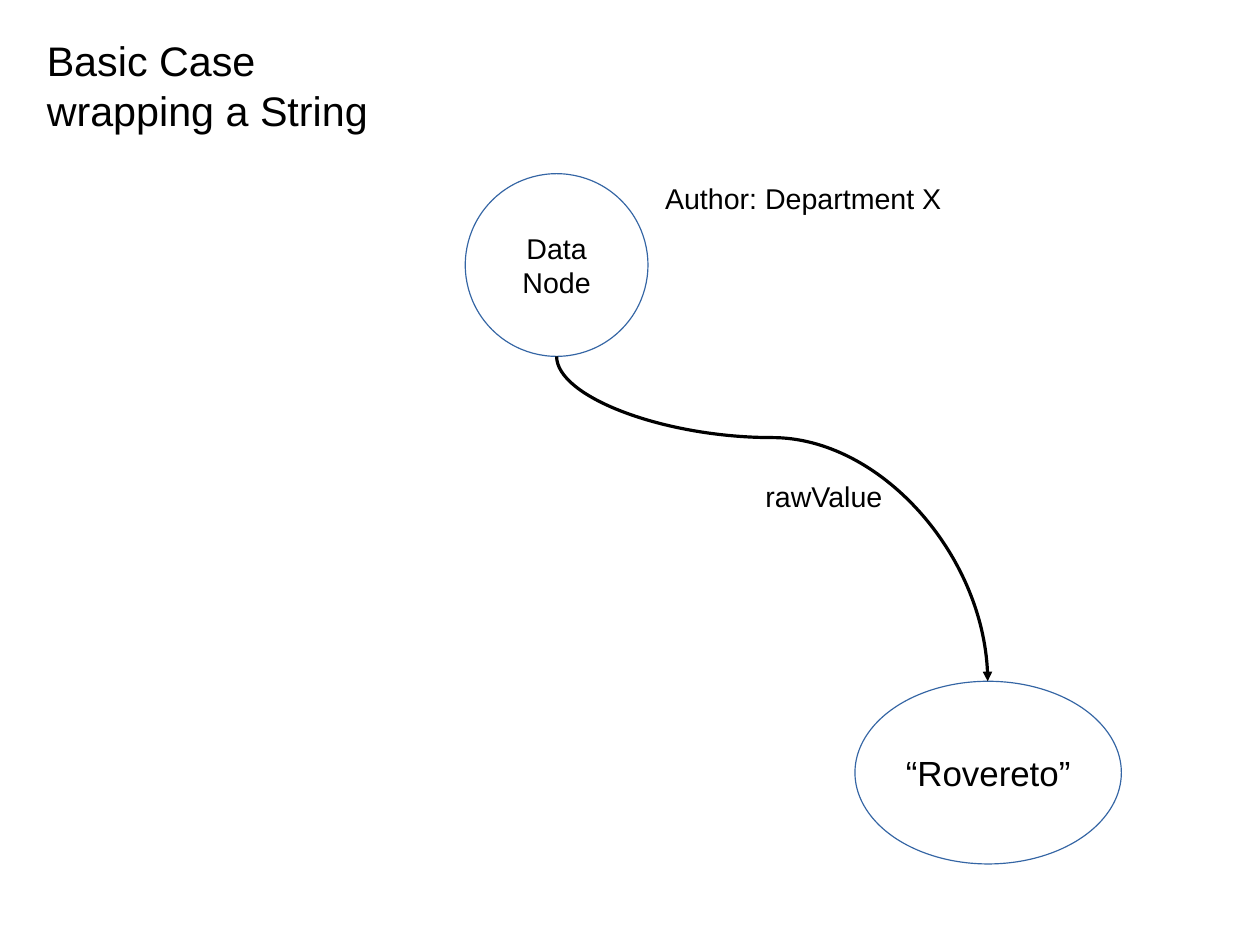
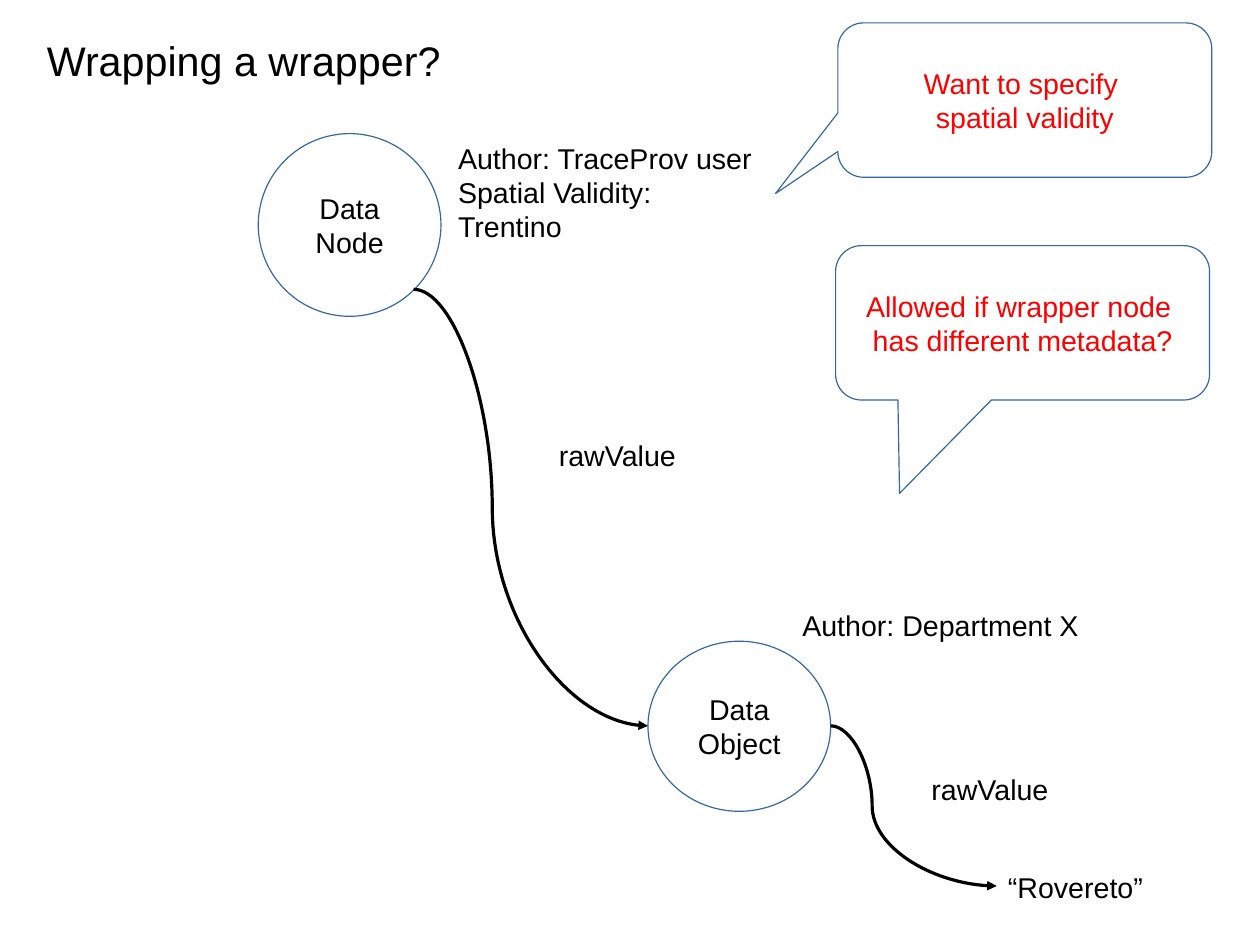
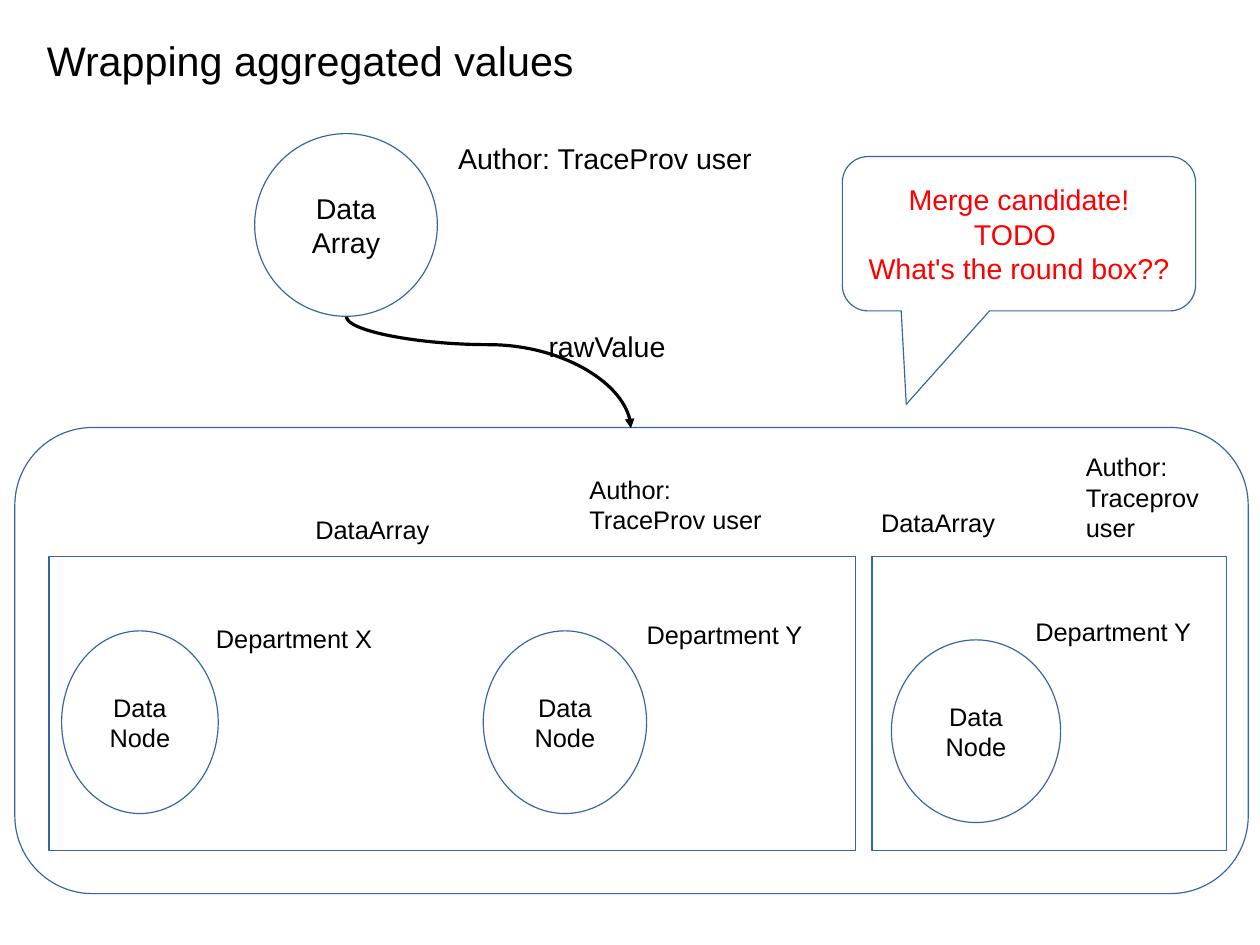
from pptx import Presentation
from pptx.dml.color import RGBColor
from pptx.enum.shapes import MSO_CONNECTOR, MSO_SHAPE
from pptx.enum.text import MSO_ANCHOR, MSO_AUTO_SIZE, PP_ALIGN
from pptx.oxml.ns import qn
from pptx.util import Cm, Pt
from lxml.etree import SubElement

FONT = "Arial"
BLACK = "000000"
WHITE = "FFFFFF"
OUTLINE = "3465A4"
QUESTION = "FF0000"
TITLE_SIZE, BODY_SIZE, SMALL_SIZE = 26, 18, 16
NODE = 4.06
CALLOUT_HEIGHT = 3.43
RAW_VALUE_WIDTH = 3.1


def color(code):
    return RGBColor.from_string(code)


def write(frame, lines, size, ink=BLACK, align=PP_ALIGN.LEFT):
    for index, line in enumerate(lines):
        paragraph = frame.paragraphs[0] if index == 0 else frame.add_paragraph()
        paragraph.alignment = align
        run = paragraph.add_run()
        run.text = line
        run.font.name = FONT
        run.font.size = Pt(size)
        run.font.color.rgb = color(ink)


def outlined(slide, kind, box, lines=(), size=BODY_SIZE, ink=BLACK, wrap=True):
    shape = slide.shapes.add_shape(kind, *map(Cm, box))
    shape.shadow.inherit = False
    shape.fill.solid()
    shape.fill.fore_color.rgb = color(WHITE)
    shape.line.color.rgb = color(OUTLINE)
    shape.line.width = Pt(0)
    shape.text_frame.word_wrap = wrap
    shape.text_frame.vertical_anchor = MSO_ANCHOR.MIDDLE
    write(shape.text_frame, lines, size, ink, PP_ALIGN.CENTER)
    return shape


def label(slide, left, top, width, lines, size=BODY_SIZE, wrap=False, rows=None):
    height = (rows or len(lines)) * Pt(size * 1.15) + Cm(0.25)
    note = slide.shapes.add_textbox(Cm(left), Cm(top), Cm(width), height)
    note.text_frame.word_wrap = wrap
    note.text_frame.auto_size = MSO_AUTO_SIZE.SHAPE_TO_FIT_TEXT
    write(note.text_frame, lines, size)


def titled_slide(deck, width, lines):
    slide = deck.slides.add_slide(deck.slide_layouts[6])
    label(slide, 0.79, 0.66, width, lines, TITLE_SIZE)
    return slide


def node(slide, box, lines, size=BODY_SIZE):
    outlined(slide, MSO_SHAPE.OVAL, box, lines, size)


def authored_node(slide, box, lines, author, width, offset=(4.19, 0.03)):
    node(slide, box, lines)
    label(slide, box[0] + offset[0], box[1] + offset[1], width, author)


def callout(slide, box, lines, tip):
    bubble = outlined(slide, MSO_SHAPE.ROUNDED_RECTANGULAR_CALLOUT, box, lines,
                      ink=QUESTION, wrap=False)
    for index, value in enumerate((*tip, 0.167)):
        bubble.adjustments[index] = value


def raw_value_link(slide, start, end, label_offset, bend=0.25, downward=False):
    link = slide.shapes.add_connector(MSO_CONNECTOR.CURVE, *map(Cm, start + end))
    link.line.color.rgb = color(BLACK)
    link.line.width = Pt(0)
    properties = link._element.spPr
    SubElement(properties.find(qn("a:ln")), qn("a:tailEnd"), type="triangle")
    SubElement(properties, qn("a:effectLst"))
    guides = properties.find(qn("a:prstGeom")).get_or_add_avLst()
    SubElement(guides, qn("a:gd"), name="adj1", fmla=f"val {round(bend * 100000)}")
    if downward:
        width, height = link.width, link.height
        link.left += (width - height) // 2
        link.top += (height - width) // 2
        link.width, link.height = height, width
        frame = properties.find(qn("a:xfrm"))
        frame.set("rot", "16200000")
        frame.set("flipH", "1")
    label(slide, start[0] + label_offset[0], start[1] + label_offset[1],
          RAW_VALUE_WIDTH, ["rawValue"])


def array_panel(slide, box, heading, author, members):
    left, top = box[:2]
    outlined(slide, MSO_SHAPE.RECTANGLE, box)
    for (x, y, width), lines, rows in (heading, author):
        label(slide, left + x, top + y, width, lines, SMALL_SIZE, True, rows)
    for (x, y, width), department, (label_x, label_y) in members:
        node(slide, (left + x, top + y, width, NODE), ["Data", "Node"], SMALL_SIZE)
        label(slide, left + label_x, top + label_y, 4.4, [department], SMALL_SIZE, True)


def aggregate(slide, box):
    left, top, width, height = box
    outlined(slide, MSO_SHAPE.ROUNDED_RECTANGLE, box).adjustments[0] = 0.167
    panel_top, panel_height = top + 2.87, 6.53
    array_panel(
        slide, (left + 0.76, panel_top, 17.93, panel_height),
        ((5.67, -1.07, 4.9), ["DataArray"], 1),
        ((11.76, -1.96, 5.46), ["Author:", "TraceProv user"], 2),
        [((0.28, 1.65, 3.48), "Department X", (3.46, 1.35)),
         ((9.65, 1.65, 3.63), "Department Y", (13.03, 1.27))])
    array_panel(
        slide, (left + 19.05, panel_top, 7.87, panel_height),
        ((-0.05, -1.22, 3.35), ["DataArray"], 1),
        ((4.5, -2.46, 3.51), ["Author: Traceprov user"], 3),
        [((0.43, 1.85, 3.76), "Department Y", (3.38, 1.19))])


def basic_case(deck):
    slide = titled_slide(deck, 7.65, ["Basic Case", "wrapping a String"])
    authored_node(slide, (10.34, 3.86, NODE, NODE), ["Data", "Node"],
                  ["Author: Department X"], 6.65)
    node(slide, (19, 15.14, 5.92, NODE), ["“Rovereto”"], 22)
    raw_value_link(slide, (12.37, 7.92), (21.95, 15.14), (4.39, 2.6), downward=True)


def wrapped_wrapper(deck):
    slide = titled_slide(deck, 9.27, ["Wrapping a wrapper?"])
    authored_node(slide, (5.74, 2.97, NODE, NODE), ["Data", "Node"],
                  ["Author: TraceProv user", "Spatial Validity: Trentino"], 7.26)
    authored_node(slide, (14.4, 14.25, NODE, 3.78), ["Data", "Object"],
                  ["Author: Department X"], 6.65, (3.18, -0.86))
    raw_value_link(slide, (9.19, 6.43), (14.4, 16.13), (2.98, 3.17), 0.336)
    raw_value_link(slide, (18.46, 16.13), (22.15, 19.69), (1.99, 0.89))
    label(slide, 22.15, 19.2, 3.51, ["“Rovereto”"])
    callout(slide, (18.57, 5.46, 8.31, CALLOUT_HEIGHT),
            ["Allowed if wrapper node ", "has different metadata?"], (-0.329, 1.105))
    callout(slide, (18.62, 0.51, 8.31, CALLOUT_HEIGHT),
            ["Want to specify ", "spatial validity"], (-0.667, 0.606))


def aggregated_values(deck):
    slide = titled_slide(deck, 12.24, ["Wrapping aggregated values"])
    aggregate(slide, (0.33, 9.5, 27.41, 10.36))
    authored_node(slide, (5.66, 2.97, NODE, NODE), ["Data", "Array"],
                  ["Author: TraceProv user"], 7.04, (4.27, 0.03))
    raw_value_link(slide, (7.7, 7.04), (14.02, 9.52), (4.24, 0.15), downward=True)
    callout(slide, (18.72, 3.48, 7.85, CALLOUT_HEIGHT),
            ["Merge candidate!", "TODO ", "What's the round box??"], (-0.319, 1.105))


def main():
    deck = Presentation()
    deck.slide_width, deck.slide_height = Cm(28), Cm(21)
    basic_case(deck)
    wrapped_wrapper(deck)
    aggregated_values(deck)
    deck.save("out.pptx")


if __name__ == "__main__":
    main()
